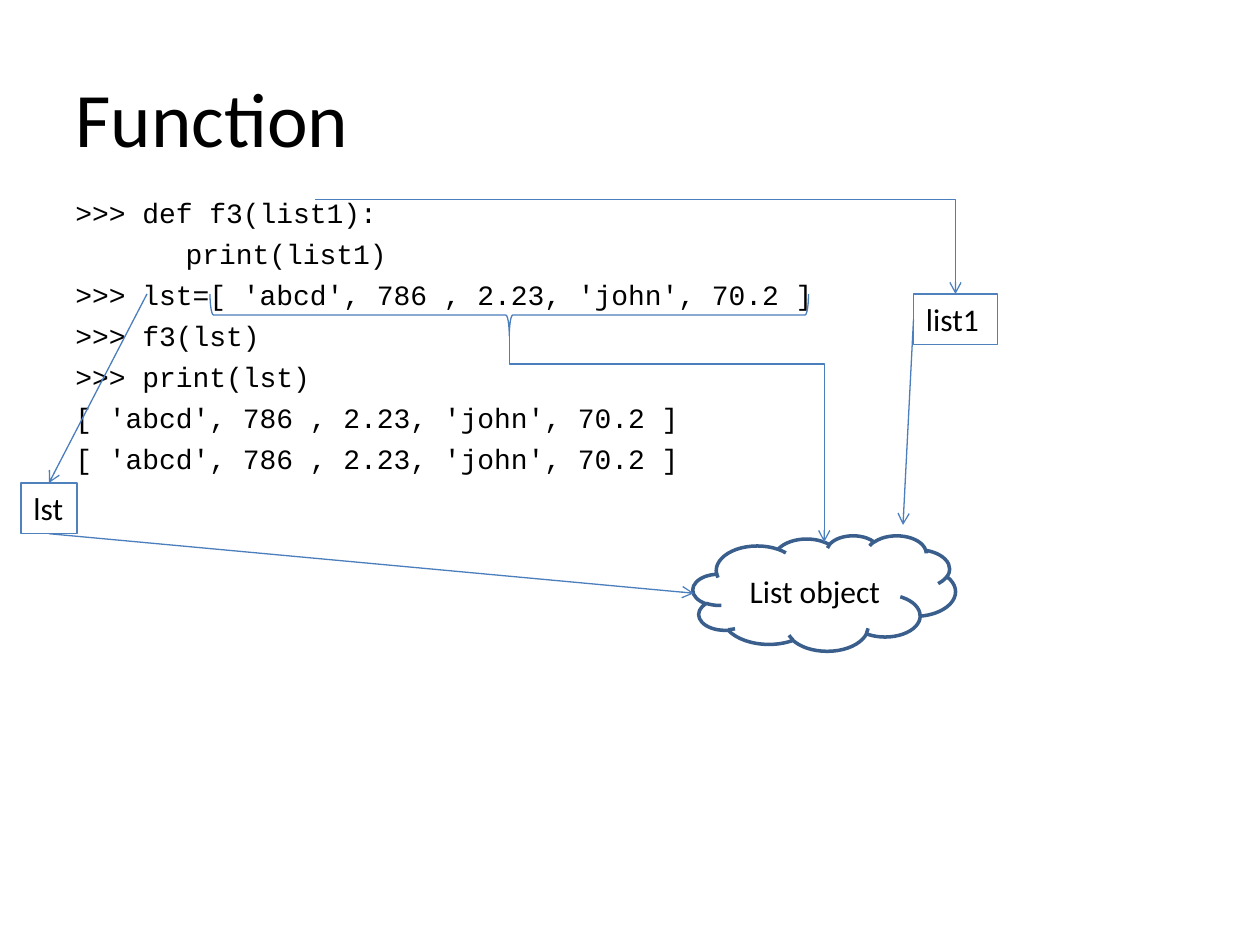
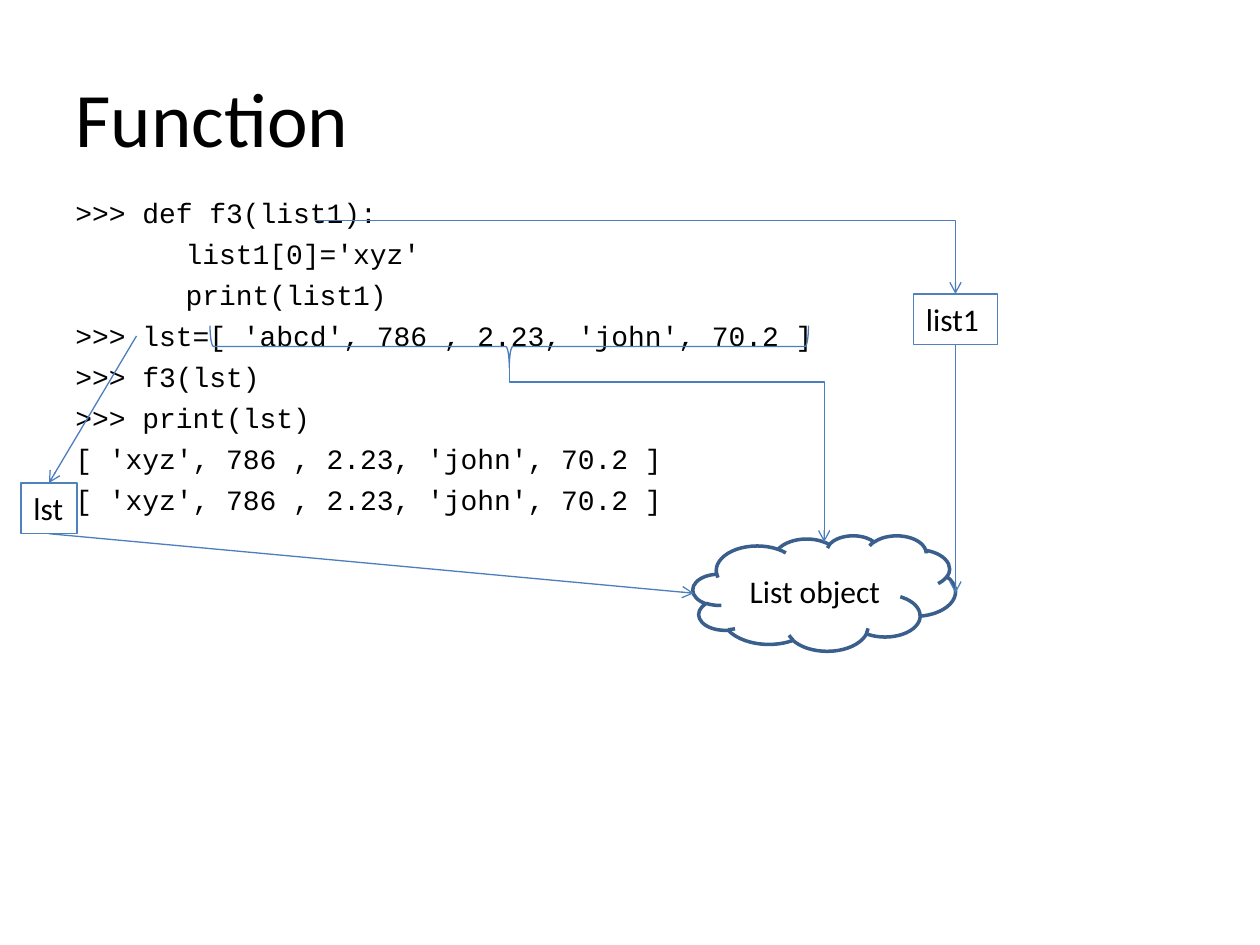
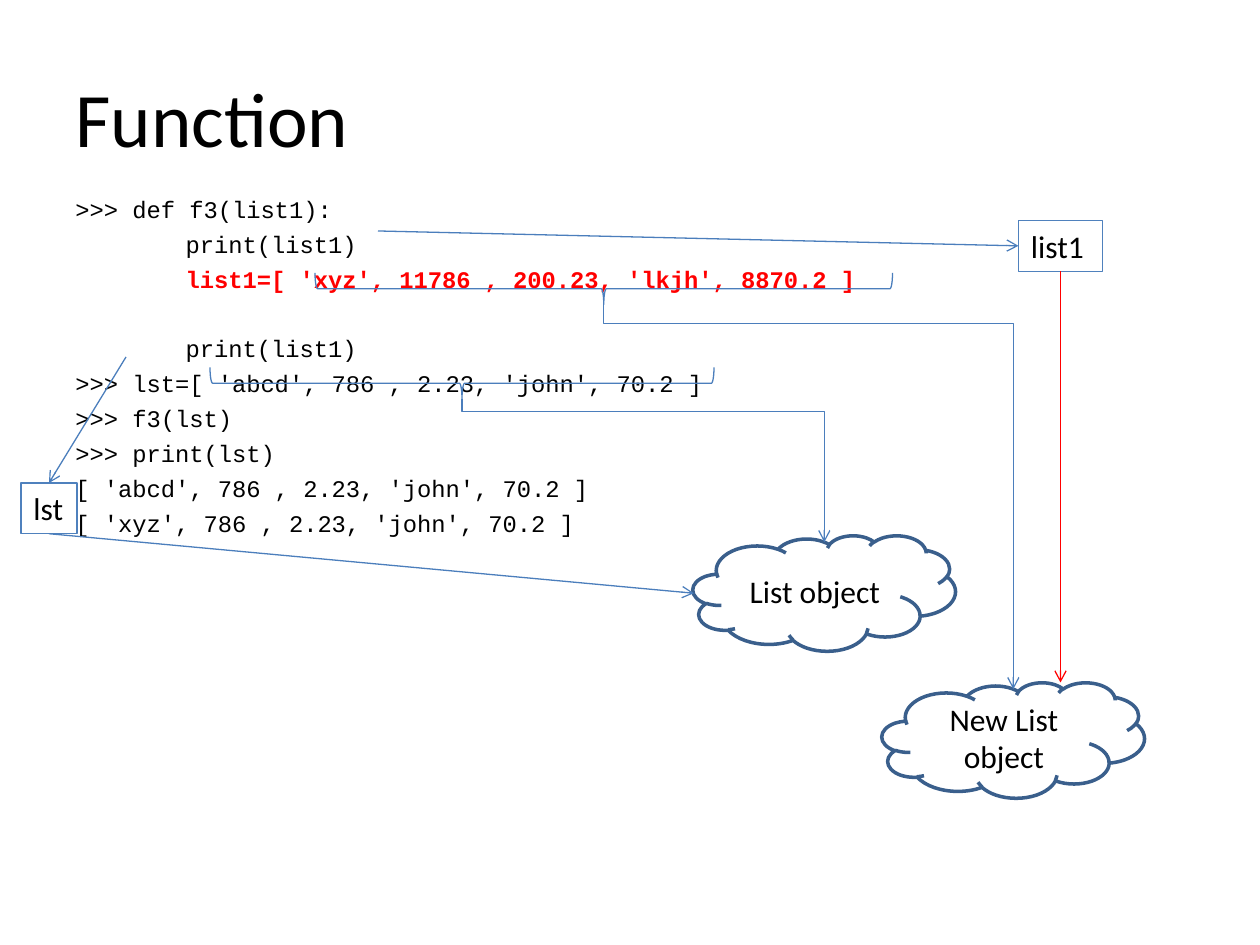
from dataclasses import dataclass

from pptx import Presentation
from pptx.dml.color import RGBColor
from pptx.enum.shapes import MSO_CONNECTOR as Connector, MSO_SHAPE as Shape
from pptx.enum.text import MSO_ANCHOR as Anchor, MSO_AUTO_SIZE as AutoSize, PP_ALIGN as Align
from pptx.oxml.ns import qn
from pptx.util import Pt
from lxml.etree import SubElement


@dataclass(frozen=True)
class Theme:
    text: RGBColor = RGBColor(0, 0, 0)
    box_line: RGBColor = RGBColor(0x4F, 0x81, 0xBD)
    cloud_line: RGBColor = RGBColor(0x3A, 0x5F, 0x8C)
    arrow: RGBColor = RGBColor(0x4B, 0x7E, 0xBC)
    accent: RGBColor = RGBColor(0xFF, 0, 0)
    font: str = "Calibri"
    code_font: str = "Courier New"
    title_size: float = 44
    label_size: float = 18
    code_size: float = 16
    small_code_size: float = 13.6
    thin: float = 0.75
    thick: float = 2


THEME = Theme()
TITLE_ONLY = 5
LINE_HEIGHT = 1.13  # code line height, in ems
LINE_GAP = 0.27     # space before a code line, in ems
BOX_HEIGHT = 29
CLOUD_WIDTH, CLOUD_HEIGHT = 150, 66
CLOUD_NOTCH = 3.8   # depth of the cloud outline at its top centre
LST_LEFT, LST_TOP, LST_WIDTH = 12, 276, 32
LIST1_WIDTH = 48
LIST_LEFT, LIST_TOP = 396, 306


def format_runs(paragraph, size, font=THEME.font, color=THEME.text, bold=False):
    for run in paragraph.runs:
        run.font.name = font
        run.font.size = Pt(size)
        run.font.color.rgb = color
        run.font.bold = bold


# Text
def add_titled_slide(deck):
    slide = deck.slides.add_slide(deck.slide_layouts[TITLE_ONLY])
    title = slide.shapes.title
    title.left, title.top, title.width, title.height = Pt(36), Pt(21.6), Pt(648), Pt(90)
    frame = title.text_frame
    frame.text = "Function"
    frame.vertical_anchor = Anchor.MIDDLE
    heading = frame.paragraphs[0]
    heading.alignment = Align.LEFT
    format_runs(heading, THEME.title_size)
    return slide


def add_code(slide, lines, size=THEME.code_size, width=438, rebinding=None):
    """Write code lines; the rebinding line is accented and followed by a gap."""
    frame = slide.shapes.add_textbox(Pt(36), Pt(108), Pt(width), Pt(174)).text_frame
    frame.word_wrap = True
    for index, line in enumerate(lines):
        paragraph = frame.paragraphs[0] if index == 0 else frame.add_paragraph()
        paragraph.text = line
        properties = paragraph._p.get_or_add_pPr()
        properties.set("marL", str(Pt(27)))
        properties.set("indent", str(-Pt(27)))
        after_rebinding = rebinding is not None and index == rebinding + 1
        gap = 2 * LINE_GAP + LINE_HEIGHT if after_rebinding else LINE_GAP
        paragraph.space_before = Pt(gap * size)
        accented = index == rebinding
        format_runs(paragraph, size, THEME.code_font,
                    THEME.accent if accented else THEME.text, accented)


# Outlined shapes
def add_outline(slide, preset, left, top, width, height, color, weight):
    outline = slide.shapes.add_shape(preset, Pt(left), Pt(top), Pt(width), Pt(height))
    outline.shadow.inherit = False
    outline.fill.background()
    outline.line.color.rgb = color
    outline.line.width = Pt(weight)
    return outline


def add_name_box(slide, name, left, top, width, wrap):
    frame = add_outline(slide, Shape.RECTANGLE, left, top, width, BOX_HEIGHT,
                        THEME.box_line, THEME.thin).text_frame
    frame.text = name
    frame.word_wrap = wrap
    frame.auto_size = AutoSize.SHAPE_TO_FIT_TEXT
    frame.vertical_anchor = Anchor.TOP
    frame.paragraphs[0].alignment = Align.LEFT
    format_runs(frame.paragraphs[0], THEME.label_size)


def add_cloud(slide, label, left, top):
    frame = add_outline(slide, Shape.CLOUD, left, top, CLOUD_WIDTH, CLOUD_HEIGHT,
                        THEME.cloud_line, THEME.thick).text_frame
    frame.text = label
    frame.word_wrap = True
    frame.vertical_anchor = Anchor.MIDDLE
    frame.paragraphs[0].alignment = Align.CENTER
    format_runs(frame.paragraphs[0], THEME.label_size)


def add_brace(slide, left, top, span, depth):
    """Lay a brace under a list and return its tip."""
    center_x, center_y = left + span / 2, top + depth / 2
    brace = add_outline(slide, Shape.RIGHT_BRACE, center_x - depth / 2,
                        center_y - span / 2, depth, span, THEME.arrow, THEME.thin)
    brace.rotation = 90
    return center_x, top + depth


# Arrows
def add_arrow(slide, start, end, color=THEME.arrow, kind=Connector.STRAIGHT):
    arrow = slide.shapes.add_connector(kind, *(Pt(value) for value in (*start, *end)))
    arrow.line.color.rgb = color
    arrow.line.width = Pt(THEME.thin)
    SubElement(arrow.line._get_or_add_ln(), qn("a:tailEnd"), type="arrow")
    SubElement(arrow._element.spPr, qn("a:effectLst"))
    return arrow


def add_corner_arrow(slide, start, end):
    """Run right, then down."""
    arrow = add_arrow(slide, start, end, kind=Connector.ELBOW)
    arrow._element.spPr.find(qn("a:prstGeom")).set("prst", "bentConnector2")


def add_step_arrow(slide, start, end, drop):
    """Run down by drop, then right, then down: an elbow turned a quarter."""
    (x1, y1), (x2, y2) = start, end
    center_x, center_y = (x1 + x2) / 2, (y1 + y2) / 2
    half_width, half_height = (y2 - y1) / 2, (x2 - x1) / 2
    arrow = add_arrow(slide, (center_x - half_width, center_y - half_height),
                      (center_x + half_width, center_y + half_height),
                      kind=Connector.ELBOW)
    properties = arrow._element.spPr
    frame = properties.find(qn("a:xfrm"))
    frame.set("rot", str(270 * 60000))
    frame.set("flipH", "1")
    guides = properties.find(qn("a:prstGeom")).get_or_add_avLst()
    SubElement(guides, qn("a:gd"), name="adj1",
               fmla=f"val {round(drop / (y2 - y1) * 100000)}")


def add_list_link(slide, brace, cloud_left, cloud_top, drop):
    """Brace a list in the code and point from it to its cloud."""
    tip = add_brace(slide, *brace)
    target = (cloud_left + CLOUD_WIDTH / 2, cloud_top + CLOUD_NOTCH)
    add_step_arrow(slide, tip, target, drop)


def add_bindings(slide, lst_start, list1_left, list1_top, brace, drop):
    """Draw what every slide has: both names, the list object and its links."""
    lst_center = LST_LEFT + LST_WIDTH / 2
    add_name_box(slide, "lst", LST_LEFT, LST_TOP, LST_WIDTH, wrap=False)
    add_name_box(slide, "list1", list1_left, list1_top, LIST1_WIDTH, wrap=True)
    add_cloud(slide, "List object", LIST_LEFT, LIST_TOP)
    add_arrow(slide, lst_start, (lst_center, LST_TOP))
    add_arrow(slide, (lst_center, LST_TOP + BOX_HEIGHT),
              (LIST_LEFT + 0.5, LIST_TOP + CLOUD_HEIGHT / 2))
    add_list_link(slide, brace, LIST_LEFT, LIST_TOP, drop)


# Slides
DEFINE = ">>> def f3(list1):"
PRINT_LIST1 = "\t\tprint(list1)"
FIRST_LIST = "[ 'abcd', 786 , 2.23, 'john', 70.2 ]"
CHANGED_LIST = "[ 'xyz', 786 , 2.23, 'john', 70.2 ]"
CALLS = [">>> lst=" + FIRST_LIST, ">>> f3(lst)", ">>> print(lst)"]


def build_shared_list(deck):
    slide = add_titled_slide(deck)
    add_code(slide, [DEFINE, PRINT_LIST1, *CALLS, FIRST_LIST, FIRST_LIST])
    add_bindings(slide, (84, 168), 522, 168, (120, 168, 342, 24), drop=16)
    add_corner_arrow(slide, (180, 114), (546, 168))
    add_arrow(slide, (522, 182.5), (516, 300))


def build_changed_item(deck):
    slide = add_titled_slide(deck)
    add_code(slide, [DEFINE, "\t\tlist1[0]='xyz'", PRINT_LIST1, *CALLS,
                     CHANGED_LIST, CHANGED_LIST])
    add_bindings(slide, (78, 192), 522, 168, (120, 186, 342, 24), drop=8.4)
    add_corner_arrow(slide, (180, 126), (546, 168))
    add_arrow(slide, (546, 197), (546, 339))


def build_new_list(deck):
    new_left, new_top = 504, 390
    slide = add_titled_slide(deck)
    add_code(slide, [DEFINE, PRINT_LIST1,
                     "\t\tlist1=[ 'xyz', 11786 , 200.23, 'lkjh', 8870.2 ]",
                     PRINT_LIST1, *CALLS, FIRST_LIST, CHANGED_LIST],
             THEME.small_code_size, width=522, rebinding=2)
    add_bindings(slide, (72, 204), 582, 126, (120, 210, 288, 18), drop=7.4)
    add_arrow(slide, (216, 132), (582, 140.5))
    add_cloud(slide, "New List object", new_left, new_top)
    add_list_link(slide, (180, 156, 330, 18), new_left, new_top, drop=10.8)
    add_arrow(slide, (606, 155), (606, new_top), THEME.accent)


def main():
    deck = Presentation()
    deck.slide_width, deck.slide_height = Pt(720), Pt(540)
    build_shared_list(deck)
    build_changed_item(deck)
    build_new_list(deck)
    deck.save("out.pptx")


main()
